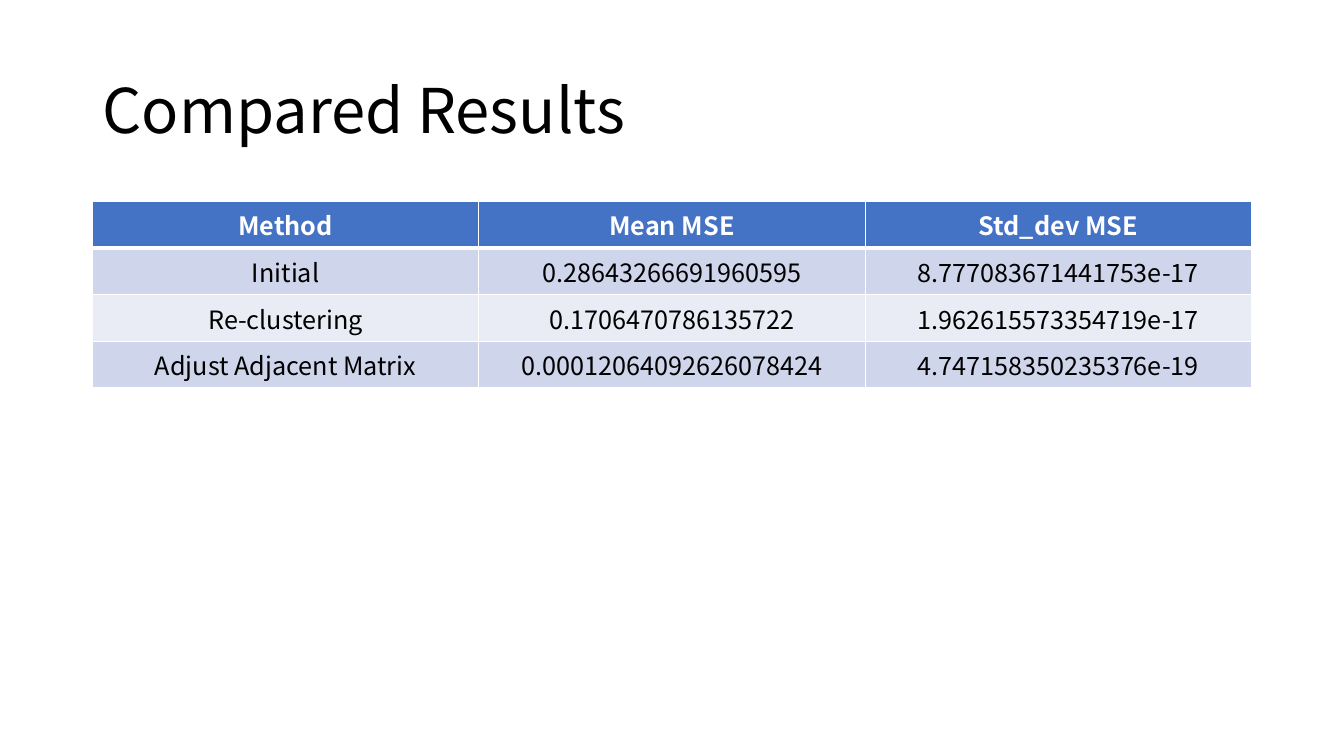
from lxml import etree
from pptx import Presentation
from pptx.dml.color import RGBColor
from pptx.enum.text import MSO_ANCHOR, MSO_AUTO_SIZE, PP_ALIGN
from pptx.oxml.ns import qn
from pptx.util import Cm, Pt

LEFT, CENTER = PP_ALIGN.LEFT, PP_ALIGN.CENTER
MIDDLE = MSO_ANCHOR.MIDDLE
NO_AUTOFIT = MSO_AUTO_SIZE.NONE

FONT = "Noto Sans CJK SC"
BLACK, WHITE, HEADER_BLUE = "000000", "FFFFFF", "4472C4"
BAND_FILLS = ["CFD5EA", "E9EBF5"]
THIN, THICK = 1, 3

MARGIN, CONTENT_WIDTH = 2.33, 29.21
TABLE_TOP, ROW_HEIGHT = 5.08, 1.03

RESULTS = [
    ["Method", "Mean MSE", "Std_dev MSE"],
    ["Initial", "0.28643266691960595", "8.777083671441753e-17"],
    ["Re-clustering", "0.1706470786135722", "1.962615573354719e-17"],
    ["Adjust Adjacent Matrix", "0.00012064092626078424", "4.747158350235376e-19"],
]


def rgb(value):
    return RGBColor.from_string(value)


def apply_format(target, values):
    for name, value in values.items():
        setattr(target, name, value)


def write_text(frame, text, align, color, font_values):
    para = frame.paragraphs[0]
    para.alignment = align
    span = para.add_run()
    span.text = text
    apply_format(span.font, {"name": FONT, **font_values})
    span.font.color.rgb = rgb(color)
    return para


def set_borders(cell, widths):
    properties = cell._tc.get_or_add_tcPr()
    # Border lines come before the fill, in the order left, right, top, bottom
    for index, (side, width) in enumerate(widths.items()):
        line = etree.Element(qn(f"a:ln{side}"), w=str(Pt(width)))
        fill = etree.SubElement(line, qn("a:solidFill"))
        etree.SubElement(fill, qn("a:srgbClr"), val=WHITE)
        properties.insert(index, line)


def add_title(page, text):
    title = page.shapes.title
    apply_format(title, {"left": Cm(MARGIN), "top": Cm(1.01),
                         "width": Cm(CONTENT_WIDTH), "height": Cm(3.68)})
    apply_format(title.text_frame, {"vertical_anchor": MIDDLE, "word_wrap": True,
                                    "auto_size": NO_AUTOFIT})
    para = write_text(title.text_frame, text, LEFT, BLACK, {"size": Pt(44)})
    para.line_spacing = 0.9


def format_cell(cell, text, row):
    is_header = row == 0
    cell.fill.solid()
    cell.fill.fore_color.rgb = rgb(HEADER_BLUE if is_header else BAND_FILLS[(row - 1) % 2])
    write_text(cell.text_frame, text, CENTER, WHITE if is_header else BLACK,
               {"size": Pt(18), "bold": is_header})
    set_borders(cell, {"L": THIN, "R": THIN,
                       "T": THICK if row == 1 else THIN,
                       "B": THICK if is_header else THIN})


def add_results_table(page, rows):
    frame = page.shapes.add_table(len(rows), len(rows[0]), Cm(MARGIN), Cm(TABLE_TOP),
                                  Cm(CONTENT_WIDTH), Cm(ROW_HEIGHT * len(rows)))
    for row, texts in enumerate(rows):
        for column, text in enumerate(texts):
            format_cell(frame.table.cell(row, column), text, row)


def main():
    deck = Presentation()
    apply_format(deck, {"slide_width": Cm(33.87), "slide_height": Cm(19.05)})
    page = deck.slides.add_slide(deck.slide_layouts[5])

    # Heading
    add_title(page, "Compared Results")

    # Results by method
    add_results_table(page, RESULTS)

    deck.save("out.pptx")


if __name__ == "__main__":
    main()
